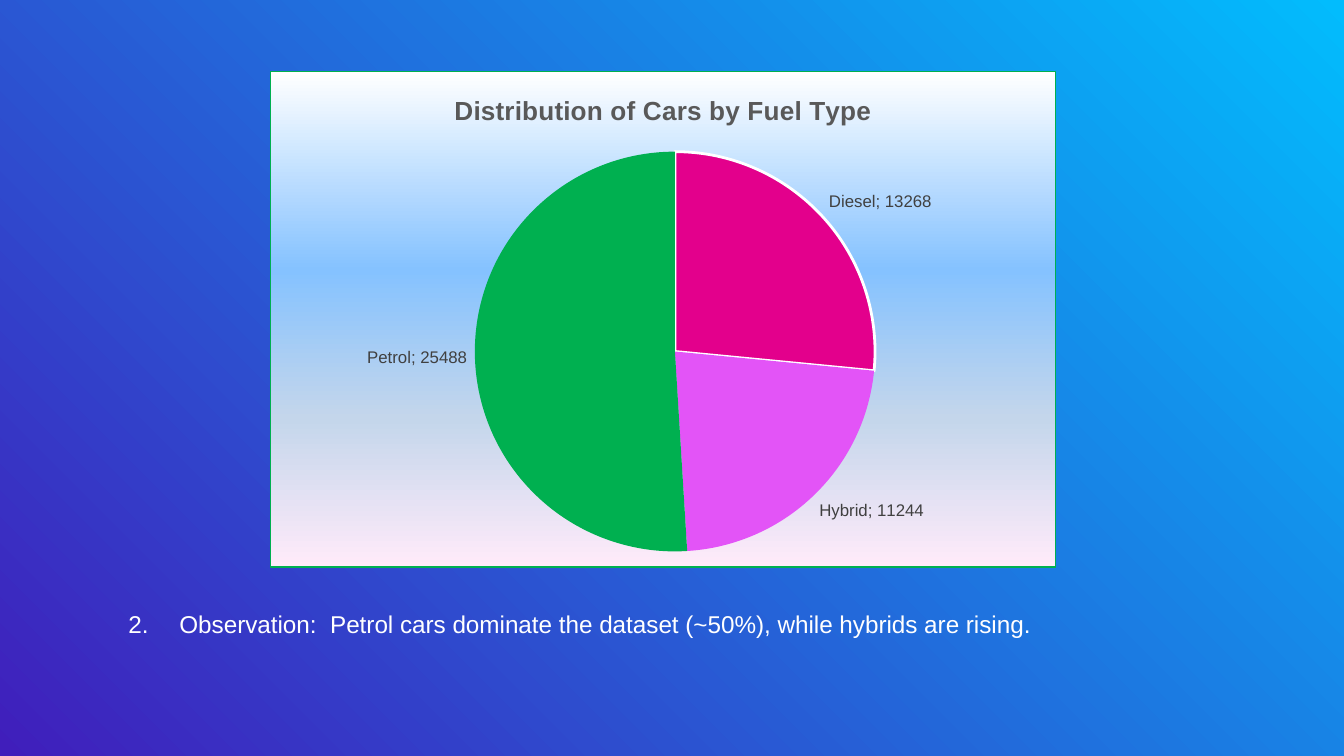
from lxml.etree import SubElement
from pptx import Presentation
from pptx.chart.data import CategoryChartData
from pptx.dml.color import RGBColor
from pptx.enum.chart import XL_CHART_TYPE, XL_LABEL_POSITION
from pptx.enum.text import MSO_ANCHOR, MSO_AUTO_SIZE, PP_ALIGN
from pptx.oxml import parse_xml
from pptx.oxml.ns import nsdecls, qn
from pptx.util import Inches, Pt

FONT = "Arial"
WHITE = RGBColor(0xFF, 0xFF, 0xFF)
BLACK = RGBColor(0x00, 0x00, 0x00)
INDIGO = RGBColor(0x40, 0x1E, 0xBB)
CYAN = RGBColor(0x02, 0xBC, 0xFD)
PINK = RGBColor(0xE3, 0x00, 0x8C)
VIOLET = RGBColor(0xE3, 0x54, 0xF7)
GREEN = RGBColor(0x00, 0xB0, 0x50)
GREY = RGBColor(0x59, 0x59, 0x59)
DARK = RGBColor(0x40, 0x40, 0x40)
SKY = RGBColor(0x85, 0xC2, 0xFF)
MIST = RGBColor(0xC4, 0xD6, 0xEB)
BLUSH = RGBColor(0xFF, 0xEB, 0xFA)

WIDE = Inches(10)
HIGH = WIDE * 9 // 16
NOTE_BOX = (0.0705, 0.094, 0.815, 0.798)
CHART_BOX = (0.201, 0.094, 0.585, 0.657)
PIE_BOX = {"x": 0.26, "y": 0.16, "w": 0.51, "h": 0.81}
FUELS = {"Diesel": (13268, PINK), "Hybrid": (11244, VIOLET), "Petrol": (25488, GREEN)}
PANEL = ((0, WHITE), (40, SKY), (70, MIST), (100, BLUSH))


def scale(box):
    x, y, w, h = box
    return int(x * WIDE), int(y * HIGH), int(w * WIDE), int(h * HIGH)


def style(font, size, color, bold=False):
    font.name, font.size, font.bold = FONT, Pt(size), bold
    font.color.rgb = color


def paint_back(slide):
    fill = slide.background.fill
    fill.gradient()
    fill.gradient_angle = 45
    for stop, color, place in zip(fill.gradient_stops, (INDIGO, CYAN), (0, 1)):
        stop.color.rgb, stop.position = color, place


def paint_panel(chart):
    stops = "".join(
        f'<a:gs pos="{place * 1000}"><a:srgbClr val="{color}"/></a:gs>' for place, color in PANEL
    )
    panel = parse_xml(
        f'<c:spPr {nsdecls("c", "a")}><a:gradFill><a:gsLst>{stops}</a:gsLst>'
        f'<a:lin ang="5400000" scaled="0"/></a:gradFill><a:ln w="{Pt(0.75)}">'
        f'<a:solidFill><a:srgbClr val="{GREEN}"/></a:solidFill></a:ln></c:spPr>'
    )
    chart.element.find(qn("c:chart")).addnext(panel)


def place_pie(chart):
    area = chart.element.find(".//" + qn("c:plotArea"))
    for old in area.findall(qn("c:layout")):
        area.remove(old)
    parts = '<c:layoutTarget val="inner"/><c:xMode val="edge"/><c:yMode val="edge"/>'
    parts += "".join(f'<c:{key} val="{share}"/>' for key, share in PIE_BOX.items())
    area.insert(0, parse_xml(
        f'<c:layout {nsdecls("c")}><c:manualLayout>{parts}</c:manualLayout></c:layout>'
    ))


def label_pie(series):
    labels = series.data_labels
    labels.show_value = labels.show_category_name = True
    labels.show_percentage = labels.show_legend_key = False
    labels.position = XL_LABEL_POSITION.OUTSIDE_END
    style(labels.font, 9, DARK)


def add_pie(slide, box):
    data = CategoryChartData()
    data.categories = list(FUELS)
    data.add_series("Series 1", [count for count, color in FUELS.values()])
    chart = slide.shapes.add_chart(XL_CHART_TYPE.PIE, *scale(box), data).chart
    style(chart.font, 10, BLACK)
    chart.has_legend = False
    chart.has_title = True
    title = chart.chart_title.text_frame
    title.text = "Distribution of Cars by Fuel Type"
    style(title.paragraphs[0].font, 14, GREY, True)
    chart.chart_title.include_in_layout = False
    plot = chart.plots[0]
    plot.vary_by_categories = True
    series = plot.series[0]
    for index, (count, color) in enumerate(FUELS.values()):
        shape = series.points[index].format
        shape.fill.solid()
        shape.fill.fore_color.rgb = color
        shape.line.fill.background()
    edge = series.points[0].format.line
    edge.color.rgb, edge.width = WHITE, Pt(1.5)
    label_pie(series)
    mark = chart.element.find(".//" + qn("c:dLbls") + "/" + qn("c:showBubbleSize"))
    if mark is not None:
        mark.addnext(parse_xml(f'<c:separator {nsdecls("c")}>; </c:separator>'))
    place_pie(chart)
    paint_panel(chart)


def add_note(slide, box):
    body = slide.placeholders[1]
    body.left, body.top, body.width, body.height = scale(box)
    frame = body.text_frame
    frame.word_wrap = True
    frame.auto_size = MSO_AUTO_SIZE.NONE
    frame.vertical_anchor = MSO_ANCHOR.BOTTOM
    frame.margin_left = frame.margin_right = frame.margin_top = Inches(0.1)
    frame.margin_bottom = Inches(0.27)
    frame.text = "Observation:  Petrol cars dominate the dataset (~50%), while hybrids are rising."
    line = frame.paragraphs[0]
    line.alignment = PP_ALIGN.LEFT
    line.space_before = Pt(0)
    props = line._p.get_or_add_pPr()
    props.set("marL", str(Inches(0.53)))
    props.set("indent", str(Inches(-0.38)))
    tint = SubElement(props, qn("a:buClr"))
    SubElement(tint, qn("a:srgbClr"), val=str(WHITE))
    SubElement(props, qn("a:buFont"), typeface=FONT)
    SubElement(props, qn("a:buAutoNum"), type="arabicPeriod", startAt="2")
    style(line.font, 13, WHITE)


def main():
    deck = Presentation()
    deck.slide_width, deck.slide_height = WIDE, HIGH
    slide = deck.slides.add_slide(deck.slide_layouts[1])
    title = slide.shapes.title.element
    title.getparent().remove(title)
    paint_back(slide)
    add_note(slide, NOTE_BOX)
    add_pie(slide, CHART_BOX)
    deck.save("out.pptx")


if __name__ == "__main__":
    main()
